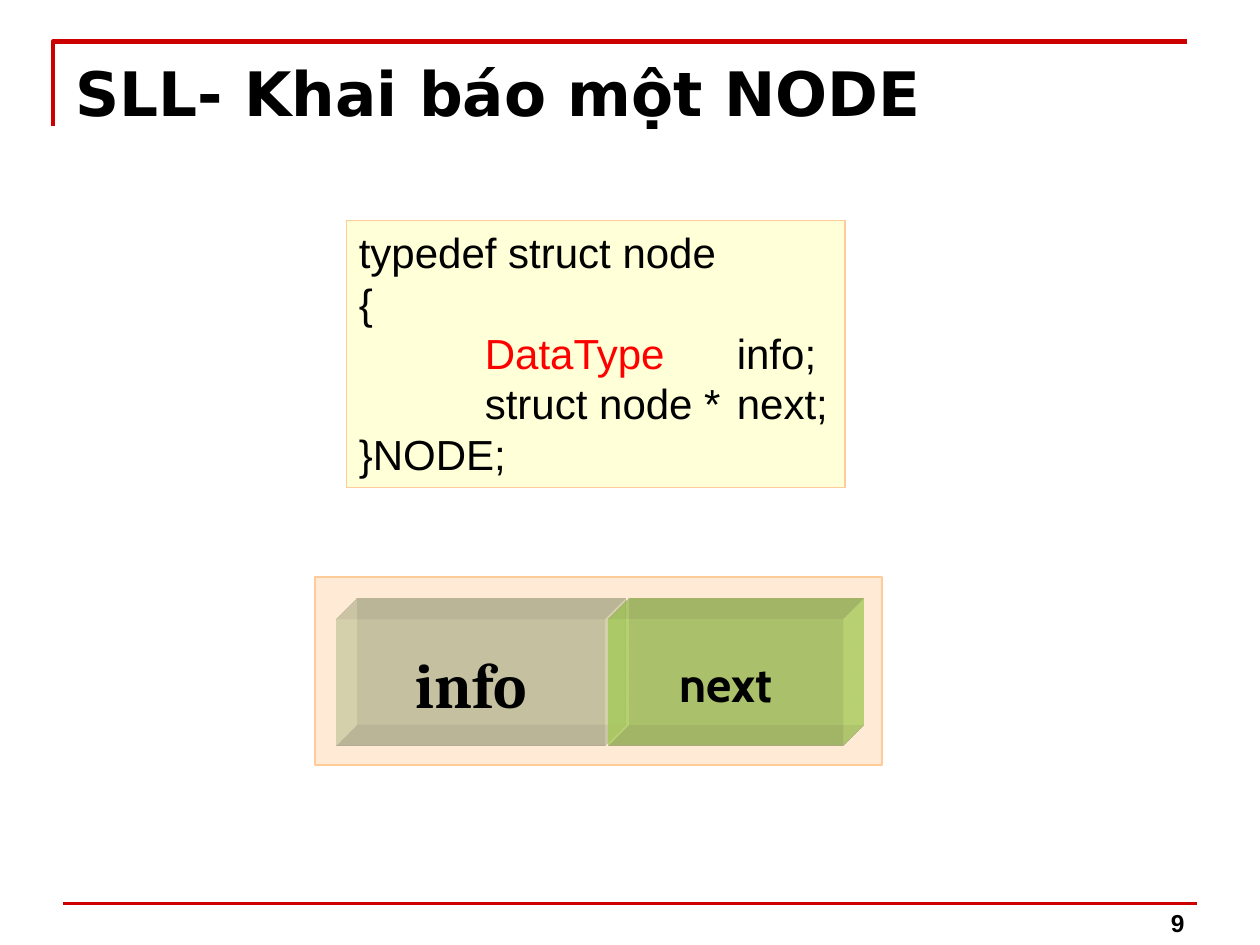
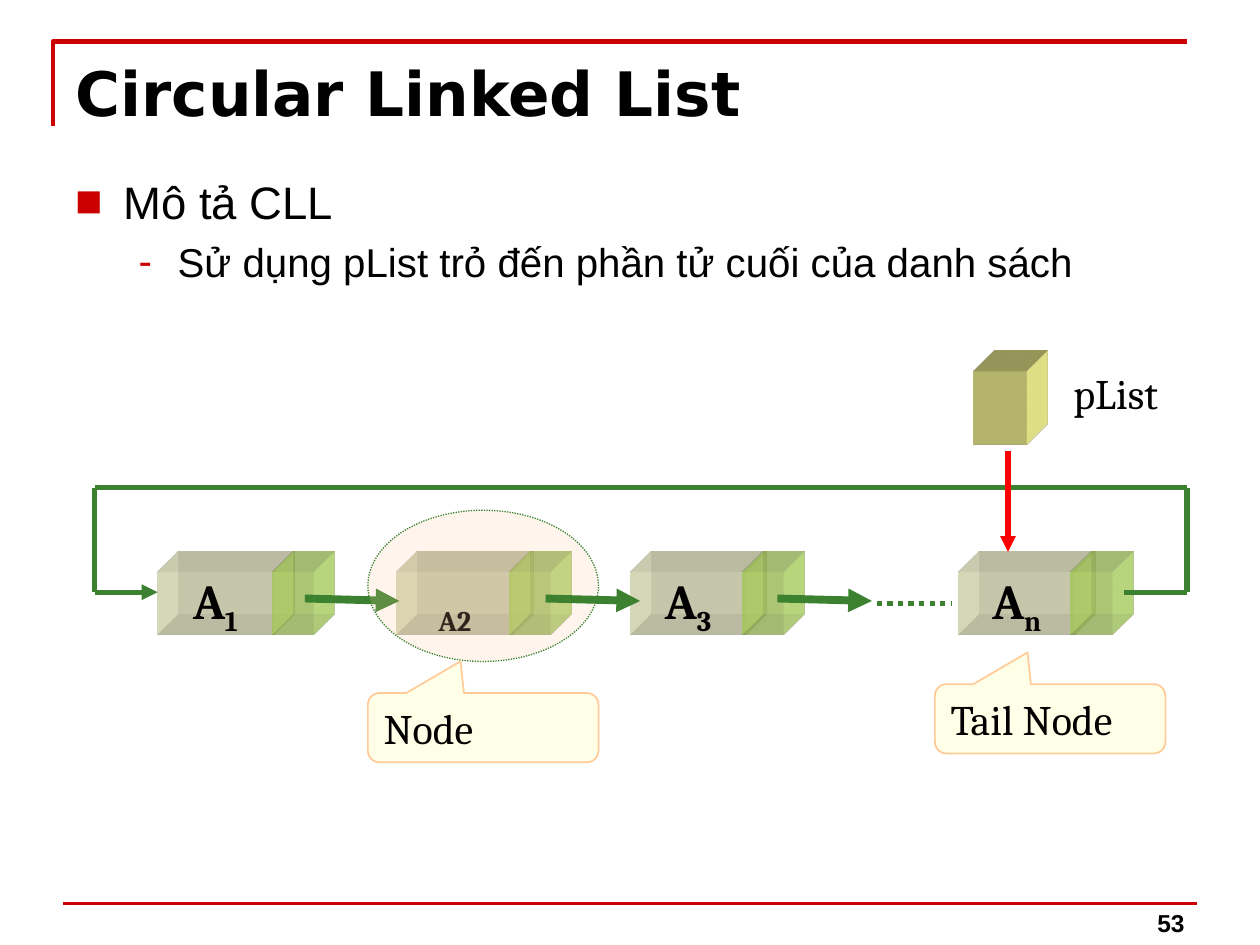
from dataclasses import dataclass

import lxml.etree
import pptx
import pptx.dml.color
import pptx.enum.dml
import pptx.enum.shapes
import pptx.enum.text
import pptx.oxml.ns
import pptx.util

Inches = pptx.util.Inches
Pt = pptx.util.Pt
RGBColor = pptx.dml.color.RGBColor
Shapes = pptx.enum.shapes.MSO_SHAPE
Align = pptx.enum.text.PP_ALIGN
Anchor = pptx.enum.text.MSO_ANCHOR
Dash = pptx.enum.dml.MSO_LINE
qn = pptx.oxml.ns.qn

BLACK = RGBColor(0x00, 0x00, 0x00)
RED = RGBColor(0xFF, 0x00, 0x00)
BRAND_RED = RGBColor(0xCC, 0x00, 0x00)
GREEN = RGBColor(0x3B, 0x81, 0x2F)
PEACH = RGBColor(0xFF, 0xCC, 0x99)
CREAM = RGBColor(0xFF, 0xFF, 0xCC)
LIME = RGBColor(0xCC, 0xFF, 0x66)
YELLOW = RGBColor(0xFF, 0xFF, 0x99)

BODY_FONT = "Arial"
TITLE_FONT = "DejaVu Sans"
DIAGRAM_FONT = "Cambria"
EXTRUSION = Inches(0.47)
BEVEL = Inches(0.01)


@dataclass
class Piece:
    text: str
    size: float
    font: str = BODY_FONT
    color: RGBColor = BLACK
    bold: bool = False
    subscript: bool = False


@dataclass
class Box:
    left: float
    top: float
    width: float
    height: float

    def lengths(self) -> list:
        return [Inches(v) for v in (self.left, self.top, self.width, self.height)]


@dataclass
class Block:
    box: Box
    color: RGBColor
    opacity: int = 50
    label: tuple = ()


@dataclass
class Link:
    start: tuple
    end: tuple
    color: RGBColor = GREEN
    width: float = 3
    arrow: bool = False
    dash: object = None


@dataclass
class Callout:
    left: float
    top: float
    text: str


def add_xml(parent, tag: str, **attributes):
    child = lxml.etree.SubElement(parent, qn(tag))
    for key, value in attributes.items():
        child.set(key, str(value))
    return child


def write(paragraph, pieces) -> None:
    for piece in pieces:
        run = paragraph.add_run()
        run.text = piece.text
        run.font.size = Pt(piece.size)
        run.font.name = piece.font
        run.font.bold = piece.bold
        run.font.color.rgb = piece.color
        if piece.subscript:
            run._r.get_or_add_rPr().set("baseline", "-25000")


def paint(shape, fill=None, opacity: int = 100, line=None, width: float = 1, dash=None) -> None:
    shape.shadow.inherit = False
    if fill is None:
        shape.fill.background()
    else:
        shape.fill.solid()
        shape.fill.fore_color.rgb = fill
        if opacity < 100:
            color = shape.element.spPr.find(f"{qn('a:solidFill')}/{qn('a:srgbClr')}")
            add_xml(color, "a:alpha", val=opacity * 1000)
    if line is None:
        shape.line.fill.background()
    else:
        shape.line.color.rgb = line
        shape.line.width = Pt(width)
        if dash is not None:
            shape.line.dash_style = dash


def extrude(shape, color: RGBColor) -> None:
    scene = add_xml(shape.element.spPr, "a:scene3d")
    add_xml(scene, "a:camera", prst="legacyObliqueTopRight")
    add_xml(scene, "a:lightRig", rig="legacyFlat3", dir="b")
    solid = add_xml(shape.element.spPr, "a:sp3d",
                    extrusionH=EXTRUSION, prstMaterial="legacyMatte")
    for side in ("a:bevelT", "a:bevelB"):
        add_xml(solid, side, w=BEVEL, h=BEVEL, prst="angle")
    add_xml(add_xml(solid, "a:extrusionClr"), "a:srgbClr", val=color)


def draw_block(shapes, block: Block) -> None:
    cuboid = shapes.add_shape(Shapes.RECTANGLE, *block.box.lengths())
    paint(cuboid, block.color, block.opacity)
    extrude(cuboid, block.color)
    if block.label:
        frame = cuboid.text_frame
        frame.word_wrap = False
        frame.vertical_anchor = Anchor.MIDDLE
        frame.paragraphs[0].alignment = Align.CENTER
        write(frame.paragraphs[0], block.label)


def draw_link(shapes, link: Link) -> None:
    ends = [Inches(v) for v in (*link.start, *link.end)]
    connector = shapes.add_connector(pptx.enum.shapes.MSO_CONNECTOR.STRAIGHT, *ends)
    connector.line.color.rgb = link.color
    connector.line.width = Pt(link.width)
    if link.dash is not None:
        connector.line.dash_style = link.dash
    if link.arrow:
        add_xml(connector.line._get_or_add_ln(), "a:tailEnd", type="triangle")
    add_xml(connector.element.spPr, "a:effectLst")


def draw_callout(shapes, callout: Callout) -> None:
    bubble = shapes.add_shape(Shapes.ROUNDED_RECTANGULAR_CALLOUT,
                              *Box(callout.left, callout.top, 1.83, 0.55).lengths())
    for index, value in enumerate((-0.098, -0.958, 0.167)):
        bubble.adjustments[index] = value
    paint(bubble, CREAM, 46, PEACH)
    frame = bubble.text_frame
    frame.word_wrap = True
    frame.vertical_anchor = Anchor.TOP
    frame.paragraphs[0].alignment = Align.LEFT
    write(frame.paragraphs[0], [Piece(callout.text, 24, DIAGRAM_FONT)])


def draw_corner(shapes) -> None:
    first, *rest = [(Inches(x), Inches(y)) for x, y in ((0.42, 1), (0.42, 0.33), (9.42, 0.33))]
    builder = shapes.build_freeform(*first)
    builder.add_line_segments(rest, close=False)
    paint(builder.convert_to_shape(), line=BRAND_RED, width=2.5)


def place(placeholder, box: Box):
    placeholder.left, placeholder.top, placeholder.width, placeholder.height = box.lengths()
    frame = placeholder.text_frame
    frame.word_wrap = True
    frame.auto_size = pptx.enum.text.MSO_AUTO_SIZE.NONE
    frame.vertical_anchor = Anchor.TOP
    return frame


def start_slide(deck, layout: int, title: str, number: str):
    slide = deck.slides.add_slide(deck.slide_layouts[layout])
    draw_corner(slide.shapes)
    draw_link(slide.shapes, Link((0.5, 7.17), (9.5, 7.17), BRAND_RED, 2))
    page = slide.shapes.add_textbox(*Box(7.17, 6.99, 2.33, 0.5).lengths()).text_frame
    page.word_wrap = True
    page.vertical_anchor = Anchor.BOTTOM
    page.paragraphs[0].alignment = Align.RIGHT
    write(page.paragraphs[0], [Piece(number, 14, bold=True)])
    heading = place(slide.shapes.title, Box(0.5, 0.39, 9, 0.86)).paragraphs[0]
    heading.alignment = Align.LEFT
    write(heading, [Piece(title, 35, TITLE_FONT, bold=True)])
    return slide


def add_bullet(paragraph, mark: str, margin: float, hanging: float) -> None:
    props = paragraph._p.get_or_add_pPr()
    props.set("marL", str(Inches(margin)))
    props.set("indent", str(-Inches(hanging)))
    add_xml(add_xml(props, "a:buClr"), "a:srgbClr", val=BRAND_RED)
    add_xml(props, "a:buFont", typeface=BODY_FONT)
    add_xml(props, "a:buChar", char=mark)


def add_tabs(paragraph, *stops: float) -> None:
    tabs = add_xml(paragraph._p.get_or_add_pPr(), "a:tabLst")
    for stop in stops:
        add_xml(tabs, "a:tab", pos=Inches(stop), algn="l")


def build_node_declaration(deck) -> None:
    slide = start_slide(deck, 5, "SLL- Khai báo một NODE", "9")
    listing = slide.shapes.add_shape(Shapes.RECTANGLE, *Box(2.75, 1.75, 3.96, 2.12).lengths())
    paint(listing, CREAM, 76, PEACH)
    frame = listing.text_frame
    frame.word_wrap = True
    frame.vertical_anchor = Anchor.TOP
    code = (
        [("typedef struct node", BLACK)],
        [("{", BLACK)],
        [("\t", BLACK), ("DataType", RED), (" \tinfo;", BLACK)],
        [("\tstruct node * \tnext;", BLACK)],
        [("}NODE;", BLACK)],
    )
    for index, pieces in enumerate(code):
        line = frame.add_paragraph() if index else frame.paragraphs[0]
        add_tabs(line, 1, 3)
        line.alignment = Align.LEFT
        line.line_spacing = Pt(28.8)
        write(line, [Piece(text, 24, color=color) for text, color in pieces])

    node = slide.shapes.add_group_shape().shapes
    backdrop = node.add_shape(Shapes.RECTANGLE, *Box(2.5, 4.58, 4.5, 1.49).lengths())
    paint(backdrop, PEACH, 41, PEACH)
    draw_block(node, Block(Box(2.67, 4.92, 2.13, 1), CREAM,
                           label=(Piece("info", 36, DIAGRAM_FONT, bold=True),)))
    draw_block(node, Block(Box(4.83, 4.92, 1.86, 1), LIME,
                           label=(Piece("next", 28, "Cabin", bold=True),)))


def build_circular_list(deck) -> None:
    slide = start_slide(deck, 1, "Circular Linked List", "53")
    shapes = slide.shapes
    frame = place(slide.placeholders[1], Box(0.5, 1.33, 9, 5.37))
    topic, detail = frame.paragraphs[0], frame.add_paragraph()
    detail.level = 1
    add_bullet(topic, "■", 0.38, 0.38)
    add_bullet(detail, "-", 0.81, 0.31)
    topic.space_before, detail.space_before = Pt(0), Pt(5.2)
    topic.alignment = detail.alignment = Align.JUSTIFY
    write(topic, [Piece("Mô tả CLL", 26)])
    write(detail, [Piece("Sử dụng pList trỏ đến phần tử cuối của danh sách", 23)])

    nodes = (
        (1.25, 2.16, (("A", False), ("1", True))),
        (3.15, 4.04, (("A2", True),)),
        (5, 5.89, (("A", False), ("3", True))),
        (7.61, 8.5, (("A", False), ("n", True))),
    )
    for info_left, next_left, label in nodes:
        pieces = tuple(Piece(text, 28, DIAGRAM_FONT, bold=True, subscript=low)
                       for text, low in label)
        draw_block(shapes, Block(Box(info_left, 4.54, 0.92, 0.5), CREAM, label=pieces))
        draw_block(shapes, Block(Box(next_left, 4.54, 0.33, 0.5), LIME))
    draw_block(shapes, Block(Box(7.73, 2.95, 0.42, 0.58), YELLOW, 100))

    first_hop, *later_hops = [Link((x, 4.75), (x + 0.75, 4.77), width=4.5, arrow=True)
                              for x in (2.42, 4.33, 6.17)]
    loop = [(8.92, 4.7), (9.42, 4.7), (9.42, 3.87), (0.75, 3.87), (0.75, 4.7), (1.25, 4.7)]
    draw_link(shapes, Link((6.96, 4.79), (7.55, 4.79), dash=Dash.ROUND_DOT))
    draw_link(shapes, first_hop)
    for start, end in zip(loop, loop[1:]):
        draw_link(shapes, Link(start, end, arrow=end == loop[-1]))
    draw_link(shapes, Link((8, 3.58), (8, 4.38), RED, arrow=True))

    pointer = shapes.add_textbox(*Box(8.42, 2.87, 0.89, 0.5).lengths()).text_frame
    pointer.word_wrap = True
    write(pointer.paragraphs[0], [Piece("pList", 24, DIAGRAM_FONT)])

    highlight = shapes.add_shape(Shapes.OVAL, *Box(2.92, 4.05, 1.83, 1.2).lengths())
    paint(highlight, PEACH, 18, GREEN, 0.75, Dash.ROUND_DOT)
    for hop in later_hops:
        draw_link(shapes, hop)
    for callout in (Callout(7.42, 5.43, "Tail Node"), Callout(2.92, 5.5, "Node")):
        draw_callout(shapes, callout)


def main() -> None:
    deck = pptx.Presentation()
    deck.slide_width, deck.slide_height = Inches(10), Inches(7.5)
    build_node_declaration(deck)
    build_circular_list(deck)
    deck.save("out.pptx")


if __name__ == "__main__":
    main()
